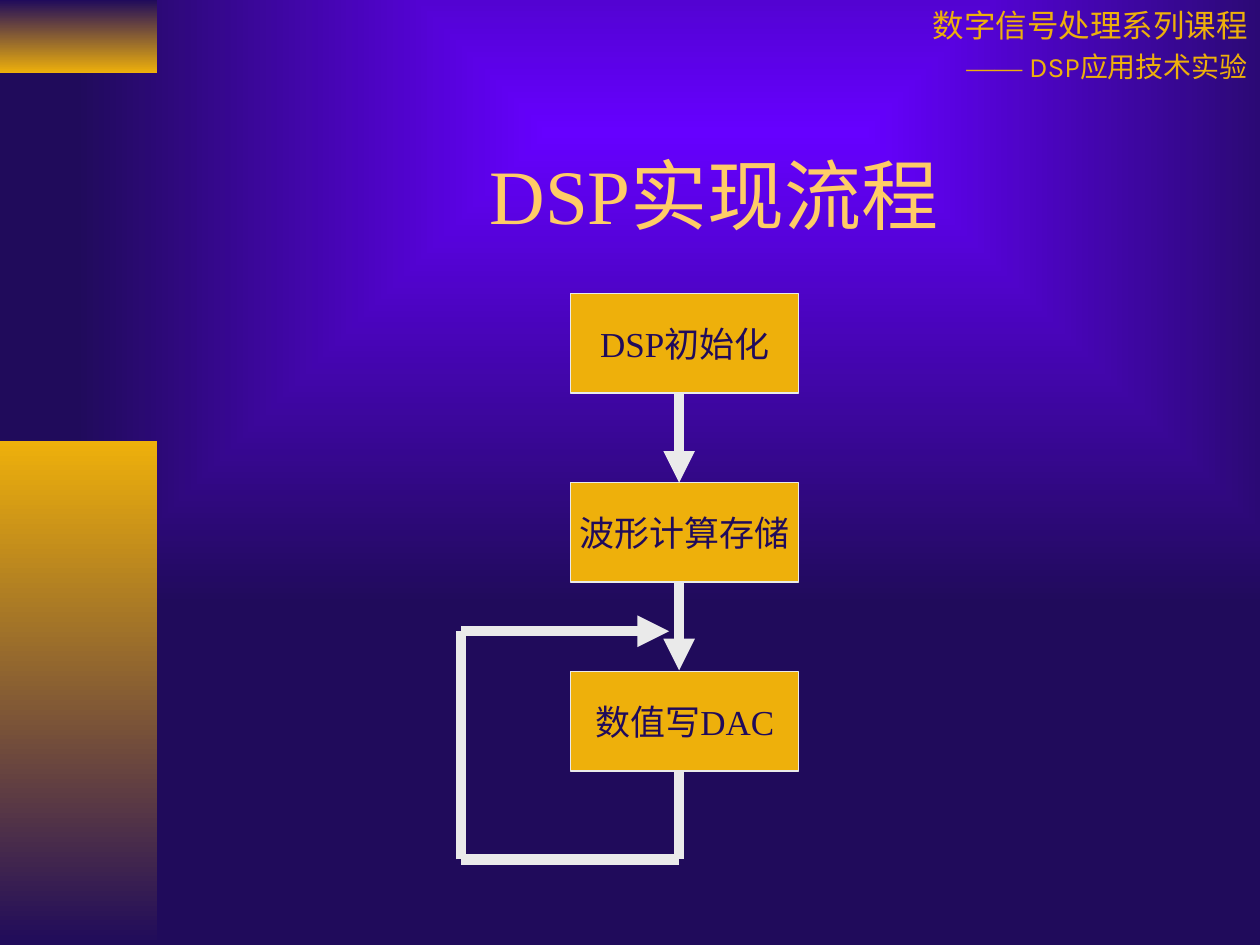
from dataclasses import dataclass

from lxml.etree import SubElement
from pptx import Presentation
from pptx.dml.color import RGBColor
from pptx.enum.shapes import MSO_CONNECTOR as Connector, MSO_SHAPE as Shape
from pptx.enum.text import MSO_ANCHOR as Anchor, PP_ALIGN as Align
from pptx.oxml.ns import qn
from pptx.util import Inches, Pt

GOLD, NAVY, VIOLET = "EEB00B", "200B5B", "6600FF"
PALE, TITLE_GOLD = "EAEAEA", "FFCC66"
SERIF, SANS, CJK = "Times New Roman", "Karla", "Noto Sans CJK SC"


@dataclass
class Band:
    """A gradient block in the left margin."""
    top: float
    height: float
    upper: str
    lower: str


@dataclass
class Arrow:
    """A straight flow line, with or without a head."""
    start: tuple[float, float]
    end: tuple[float, float]
    head: bool = False


def color(hex_value: str) -> RGBColor:
    """Turn a hex string into a colour."""
    return RGBColor.from_string(hex_value)


def set_gradient(fill, first: str, last: str) -> None:
    """Give a fill a two-colour gradient running downwards."""
    fill.gradient()
    fill.gradient_angle = 270
    for stop, value in zip(fill.gradient_stops, (first, last)):
        stop.color.rgb = color(value)


def set_background(slide) -> None:
    """Paint the glow that spreads from the upper part of the slide."""
    set_gradient(slide.background.fill, VIOLET, NAVY)
    gradient = slide.element.find(".//" + qn("p:bgPr")).find(qn("a:gradFill"))
    gradient.remove(gradient.find(qn("a:lin")))
    glow = SubElement(gradient, qn("a:path"), path="shape")
    SubElement(glow, qn("a:fillToRect"), l="14000", t="6000", r="1000", b="78000")


def set_font(font, size: float, name: str, value: str) -> None:
    """Set size, typeface and colour."""
    font.size, font.name = Pt(size), name
    font.color.rgb = color(value)


def add_band(slide, band: Band) -> None:
    """Draw one margin block."""
    block = slide.shapes.add_shape(
        Shape.RECTANGLE, 0, Inches(band.top), Inches(1.25), Inches(band.height))
    block.shadow.inherit = False
    block.line.fill.background()
    set_gradient(block.fill, band.upper, band.lower)


def add_header(slide) -> None:
    """Write the course name at the top right."""
    frame = slide.shapes.add_textbox(
        Inches(6.4), 0, Inches(3.6), Inches(0.72)).text_frame
    frame.word_wrap = True
    lines = [
        (18, [("数字信号处理系列课程", CJK)]),
        (16, [("—— ", SERIF), ("DSP", SANS), ("应用技术实验", CJK)]),
    ]
    for index, (size, pieces) in enumerate(lines):
        line = frame.add_paragraph() if index else frame.paragraphs[0]
        line.alignment = Align.RIGHT
        line.space_before = Pt(size * 0.2)
        for words, typeface in pieces:
            run = line.add_run()
            run.text = words
            set_font(run.font, size, typeface, GOLD)


def add_title(slide, words: str) -> None:
    """Place and format the slide title."""
    title = slide.shapes.title
    title.left, title.top = Inches(1.42), Inches(0.91)
    title.width, title.height = Inches(8.5), Inches(1.25)
    title.text_frame.text = words
    title.text_frame.vertical_anchor = Anchor.MIDDLE
    heading = title.text_frame.paragraphs[0]
    heading.alignment = Align.CENTER
    set_font(heading.font, 44, SERIF, TITLE_GOLD)


def add_step(slide, top: float, words: str) -> None:
    """Draw one box of the flow."""
    step = slide.shapes.add_shape(
        Shape.RECTANGLE, Inches(4.53), Inches(top), Inches(1.81), Inches(0.79))
    step.shadow.inherit = False
    step.fill.solid()
    step.fill.fore_color.rgb = color(GOLD)
    step.line.color.rgb = color(PALE)
    step.line.width = Pt(0.75)
    frame = step.text_frame
    frame.text = words
    frame.word_wrap = False
    frame.vertical_anchor = Anchor.MIDDLE
    frame.paragraphs[0].alignment = Align.CENTER
    set_font(frame.paragraphs[0].font, 20, SERIF, NAVY)


def add_arrow(slide, arrow: Arrow) -> None:
    """Draw one flow line."""
    link = slide.shapes.add_connector(
        Connector.STRAIGHT, *map(Inches, arrow.start + arrow.end))
    link.line.color.rgb = color(PALE)
    link.line.width = Pt(6)
    properties = link._element.spPr
    if arrow.head:
        SubElement(properties.find(qn("a:ln")), qn("a:tailEnd"), type="triangle")
    SubElement(properties, qn("a:effectLst"))


def main() -> None:
    """Build and save the slide."""
    deck = Presentation()
    deck.slide_width, deck.slide_height = Inches(10), Inches(7.5)
    slide = deck.slides.add_slide(deck.slide_layouts[5])
    set_background(slide)
    for band in (Band(0, 0.58, NAVY, GOLD), Band(3.5, 4, GOLD, NAVY)):
        add_band(slide, band)
    add_header(slide)
    add_title(slide, "DSP实现流程")

    first_top, pitch = 2.33, 1.5
    for index, words in enumerate(("DSP初始化", "波形计算存储", "数值写DAC")):
        add_step(slide, first_top + index * pitch, words)

    axis, loop_left, loop_top, loop_bottom = 5.39, 3.66, 5.01, 6.82
    arrows = [
        Arrow((axis, 3.12), (axis, 3.83), head=True),
        Arrow((axis, 4.62), (axis, 5.32), head=True),
        Arrow((axis, 6.11), (axis, loop_bottom)),
        Arrow((axis, loop_bottom), (loop_left, loop_bottom)),
        Arrow((loop_left, loop_bottom), (loop_left, loop_top)),
        Arrow((loop_left, loop_top), (5.31, loop_top), head=True),
    ]
    for arrow in arrows:
        add_arrow(slide, arrow)
    deck.save("out.pptx")


main()
